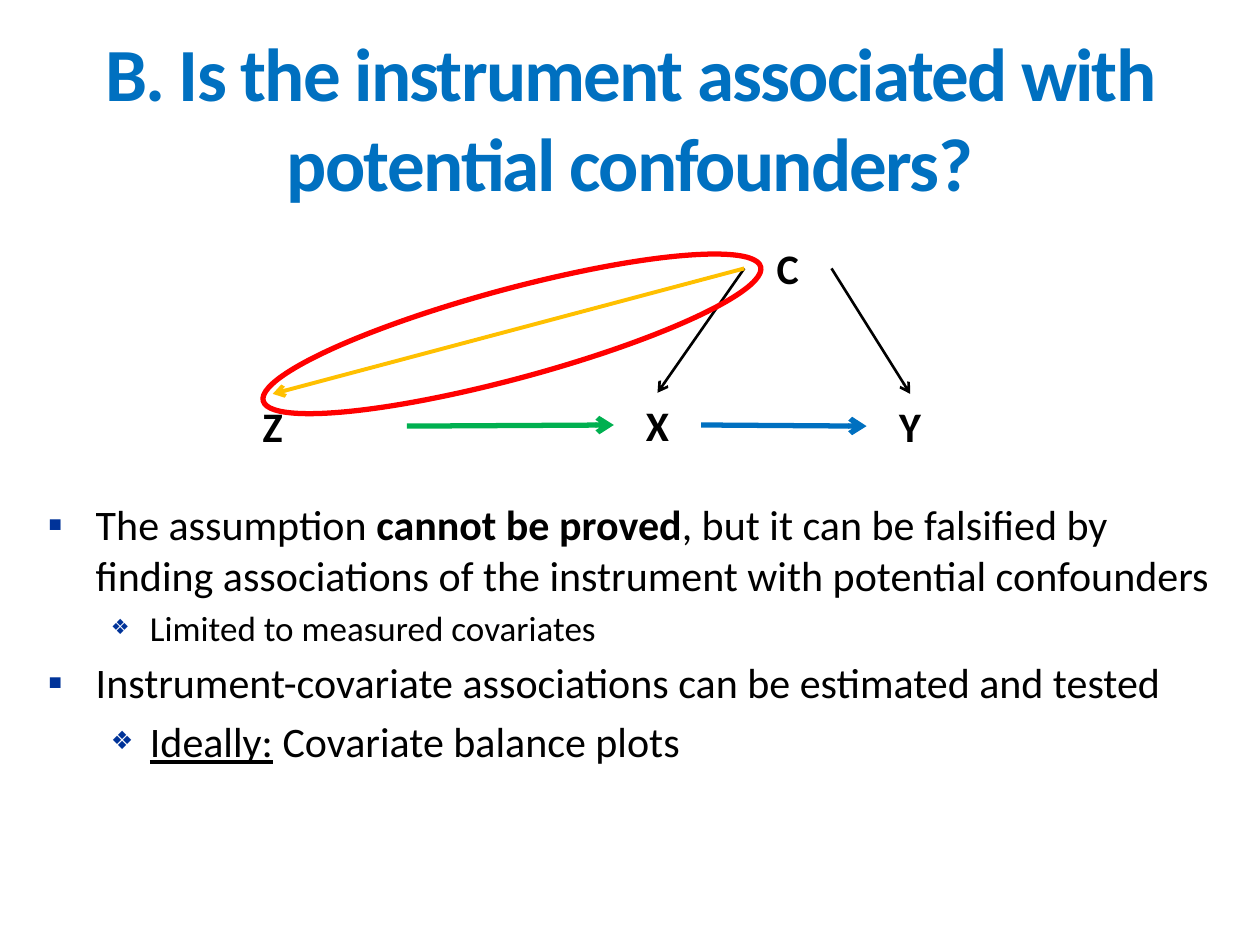
from lxml import etree
from pptx import Presentation
from pptx.dml.color import RGBColor
from pptx.enum.shapes import MSO_CONNECTOR, MSO_SHAPE
from pptx.enum.text import MSO_ANCHOR, MSO_AUTO_SIZE, PP_ALIGN
from pptx.oxml.ns import qn
from pptx.util import Inches, Pt

STRAIGHT = MSO_CONNECTOR.STRAIGHT
RECTANGLE, ELLIPSE = MSO_SHAPE.RECTANGLE, MSO_SHAPE.OVAL
TOP, MIDDLE = MSO_ANCHOR.TOP, MSO_ANCHOR.MIDDLE
NO_AUTOFIT = MSO_AUTO_SIZE.NONE
LEFT, CENTER = PP_ALIGN.LEFT, PP_ALIGN.CENTER

FONT = "Calibri"
BLACK = RGBColor(0x00, 0x00, 0x00)
WHITE = RGBColor(0xFF, 0xFF, 0xFF)
BLUE = RGBColor(0x00, 0x70, 0xC0)
GREEN = RGBColor(0x00, 0xB0, 0x50)
GOLD = RGBColor(0xFF, 0xC0, 0x00)
RED = RGBColor(0xFF, 0x00, 0x00)
NAVY = RGBColor(0x00, 0x33, 0x99)

SITE_TOP, SITE_LEFT, SITE_RIGHT = 0, 1, 3

TITLE = "B. Is the instrument associated with potential confounders?"
TITLE_BOX = (0.05, 0.017, 0.9, 0.212)
DIAGRAM_BOX = (0.11, 0.25, 0.647, 0.235)
BODY_BOX = (0.028, 0.521, 0.948, 0.377)

NODES = {
    "C": (0.743, 0, 0.107, 0.29),
    "X": (0.583, 0.705, 0.107, 0.29),
    "Y": (0.893, 0.71, 0.107, 0.29),
    "Z": (0, 0.71, 0.329, 0.29),
}
ARROWS = [
    ("C", SITE_LEFT, "X", SITE_TOP, BLACK, 1.5),
    ("C", SITE_RIGHT, "Y", SITE_TOP, BLACK, 1.5),
    ("X", SITE_RIGHT, "Y", SITE_LEFT, BLUE, 3),
    ("Z", SITE_RIGHT, "X", SITE_LEFT, GREEN, 3),
    ("C", SITE_LEFT, "Z", SITE_TOP, GOLD, 2.25),
]
HIGHLIGHT = (0.142, 0.238, 0.632, 0.403)

BULLETS = [
    (0, 24, [("The assumption ", False, False),
             ("cannot be proved", True, False),
             (", but it can be falsified by finding associations of the "
              "instrument with potential confounders", False, False)]),
    (1, 20, [("Limited to measured covariates", False, False)]),
    (0, 24, [("Instrument-covariate associations can be estimated and tested",
              False, False)]),
    (1, 24, [("Ideally:", False, True),
             (" Covariate balance plots", False, False)]),
]
LEVELS = [(0.38, -0.38, "▪", 100), (0.81, -0.31, "❖", 60)]


def within(box, shares):
    left, top, width, height = box
    x, y, w, h = shares
    return (int(left + x * width), int(top + y * height),
            int(w * width), int(h * height))


def place(shape, box):
    shape.left, shape.top, shape.width, shape.height = box


def add_span(para, text, size, color, bold=False, underline=False):
    span = para.add_run()
    span.text = text
    font = span.font
    font.name, font.size, font.bold = FONT, Pt(size), bold
    font.underline = underline
    font.color.rgb = color
    return span


def add_outline(page, kind, box, color, weight):
    shape = page.shapes.add_shape(kind, *box)
    shape.shadow.inherit = False
    shape.fill.background()
    shape.line.color.rgb = color
    shape.line.width = Pt(weight)
    return shape


def add_node(page, box, label):
    node = add_outline(page, RECTANGLE, box, WHITE, 0.75)
    node.text_frame.vertical_anchor = TOP
    para = node.text_frame.paragraphs[0]
    para.alignment = CENTER
    add_span(para, label, 24, BLACK, bold=True)
    return node


def add_arrow(page, start, start_site, end, end_site, color, weight):
    arrow = page.shapes.add_connector(STRAIGHT, 0, 0, 0, 0)
    arrow.begin_connect(start, start_site)
    arrow.end_connect(end, end_site)
    arrow.line.color.rgb = color
    arrow.line.width = Pt(weight)
    etree.SubElement(arrow.line._get_or_add_ln(), qn("a:tailEnd"), type="arrow")
    etree.SubElement(arrow._element.spPr, qn("a:effectLst"))


def set_bullet(para, character, percent):
    properties = para._p.get_or_add_pPr()
    color = etree.SubElement(properties, qn("a:buClr"))
    etree.SubElement(color, qn("a:srgbClr"), val=str(NAVY))
    etree.SubElement(properties, qn("a:buSzPct"), val=str(percent * 1000))
    etree.SubElement(properties, qn("a:buFont"), typeface=FONT)
    etree.SubElement(properties, qn("a:buChar"), char=character)


def fill_title(title, box):
    place(title, box)
    frame = title.text_frame
    frame.auto_size, frame.word_wrap = NO_AUTOFIT, True
    frame.vertical_anchor = MIDDLE
    para = frame.paragraphs[0]
    para.alignment = CENTER
    span = add_span(para, TITLE, 42.9, BLUE, bold=True)
    span.font._element.set("spc", "-100")


def draw_diagram(page, box):
    nodes = {label: add_node(page, within(box, shares), label)
             for label, shares in NODES.items()}
    for start, start_site, end, end_site, color, weight in ARROWS:
        add_arrow(page, nodes[start], start_site, nodes[end], end_site,
                  color, weight)
    ring = add_outline(page, ELLIPSE, within(box, HIGHLIGHT), RED, 3)
    ring.rotation = 344.9


def fill_body(body, box):
    place(body, box)
    frame = body.text_frame
    frame.auto_size, frame.word_wrap = NO_AUTOFIT, True
    frame.vertical_anchor = TOP
    for index, (level, size, spans) in enumerate(BULLETS):
        para = frame.add_paragraph() if index else frame.paragraphs[0]
        margin, indent, character, percent = LEVELS[level]
        para.level, para.alignment = level, LEFT
        para.space_before = Pt(0.2 * size)
        properties = para._p.get_or_add_pPr()
        properties.set("marL", str(Inches(margin)))
        properties.set("indent", str(Inches(indent)))
        set_bullet(para, character, percent)
        for text, bold, underline in spans:
            add_span(para, text, size, BLACK, bold, underline)


def main():
    deck = Presentation()
    deck.slide_width, deck.slide_height = Inches(10), Inches(7.5)
    full = (0, 0, deck.slide_width, deck.slide_height)
    page = deck.slides.add_slide(deck.slide_layouts[1])
    fill_title(page.shapes.title, within(full, TITLE_BOX))
    fill_body(page.placeholders[1], within(full, BODY_BOX))
    draw_diagram(page, within(full, DIAGRAM_BOX))
    deck.save("out.pptx")


if __name__ == "__main__":
    main()
